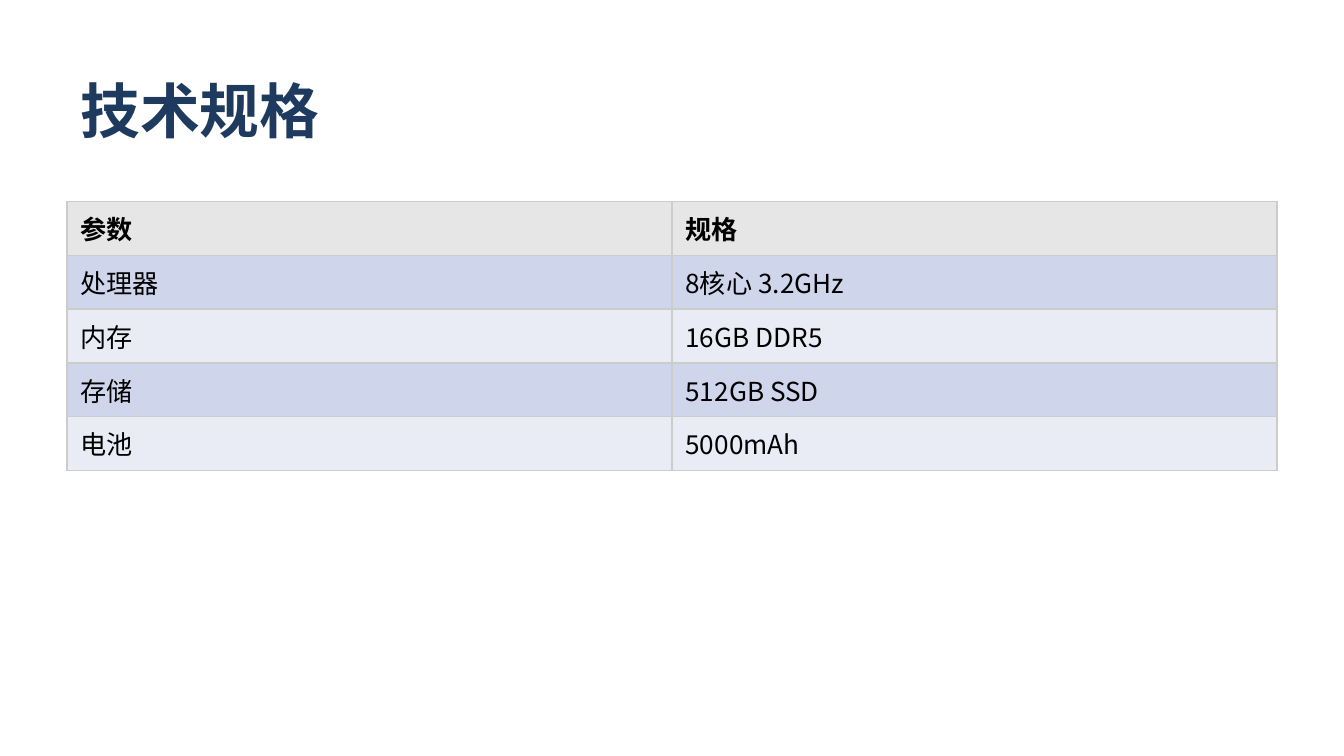
from lxml import etree
from pptx import Presentation
from pptx.dml.color import RGBColor
from pptx.enum.text import MSO_ANCHOR
from pptx.oxml.ns import qn
from pptx.util import Inches, Pt

TOP, MIDDLE = MSO_ANCHOR.TOP, MSO_ANCHOR.MIDDLE
FONT = "Noto Sans CJK SC"
COLORS = {
    "title": "1E3A5F",
    "text": "000000",
    "header": "E6E6E6",
    "odd": "CFD5EA",
    "even": "E9EBF5",
    "border": "CCCCCC",
}
SPECS = [
    ("参数", "规格"),
    ("处理器", "8核心 3.2GHz"),
    ("内存", "16GB DDR5"),
    ("存储", "512GB SSD"),
    ("电池", "5000mAh"),
]


def write(tf, text, size=14, color="text", bold=False):
    r = tf.paragraphs[0].add_run()
    r.text = text
    r.font.size = Pt(size)
    r.font.bold = bold
    r.font.name = FONT
    r.font.color.rgb = RGBColor.from_string(COLORS[color])
    # East Asian glyphs take their own font entry
    ea = etree.Element(qn("a:ea"), typeface=FONT)
    r.font._element.find(qn("a:latin")).addnext(ea)


def set_borders(cell, color="border", width=1):
    tcPr = cell._tc.get_or_add_tcPr()
    for i, side in enumerate(("lnL", "lnR", "lnT", "lnB")):
        ln = etree.Element(qn(f"a:{side}"), w=str(Pt(width)))
        fill = etree.SubElement(ln, qn("a:solidFill"))
        etree.SubElement(fill, qn("a:srgbClr"), val=COLORS[color])
        tcPr.insert(i, ln)  # borders come before the cell fill


def add_title(s, text, x, y, w, h):
    tf = s.shapes.add_textbox(Inches(x), Inches(y), Inches(w), Inches(h)).text_frame
    tf.word_wrap = True
    tf.vertical_anchor = TOP
    write(tf, text, size=32, color="title", bold=True)


def add_spec_table(s, rows, x, y, w, row_h):
    n_cols = len(rows[0])
    table = s.shapes.add_table(len(rows), n_cols, Inches(x), Inches(y),
                               Inches(w), Inches(row_h * len(rows))).table
    for col in table.columns:
        col.width = Inches(w / n_cols)
    for i, values in enumerate(rows):
        table.rows[i].height = Inches(row_h)
        band = "header" if i == 0 else "odd" if i % 2 else "even"
        for j, value in enumerate(values):
            cell = table.cell(i, j)
            cell.vertical_anchor = MIDDLE
            cell.fill.solid()
            cell.fill.fore_color.rgb = RGBColor.from_string(COLORS[band])
            set_borders(cell)
            write(cell.text_frame, value, bold=i == 0)


def main():
    prs = Presentation()
    # Widescreen, 16:9
    prs.slide_width = Inches(10)
    prs.slide_height = Inches(10 * 9 / 16)
    s = prs.slides.add_slide(prs.slide_layouts[6])
    # Heading, then the table below it
    add_title(s, "技术规格", 0.5, 0.5, 9, 0.8)
    add_spec_table(s, SPECS, 0.5, 1.5, 9, 0.4)
    prs.save("out.pptx")


if __name__ == "__main__":
    main()
